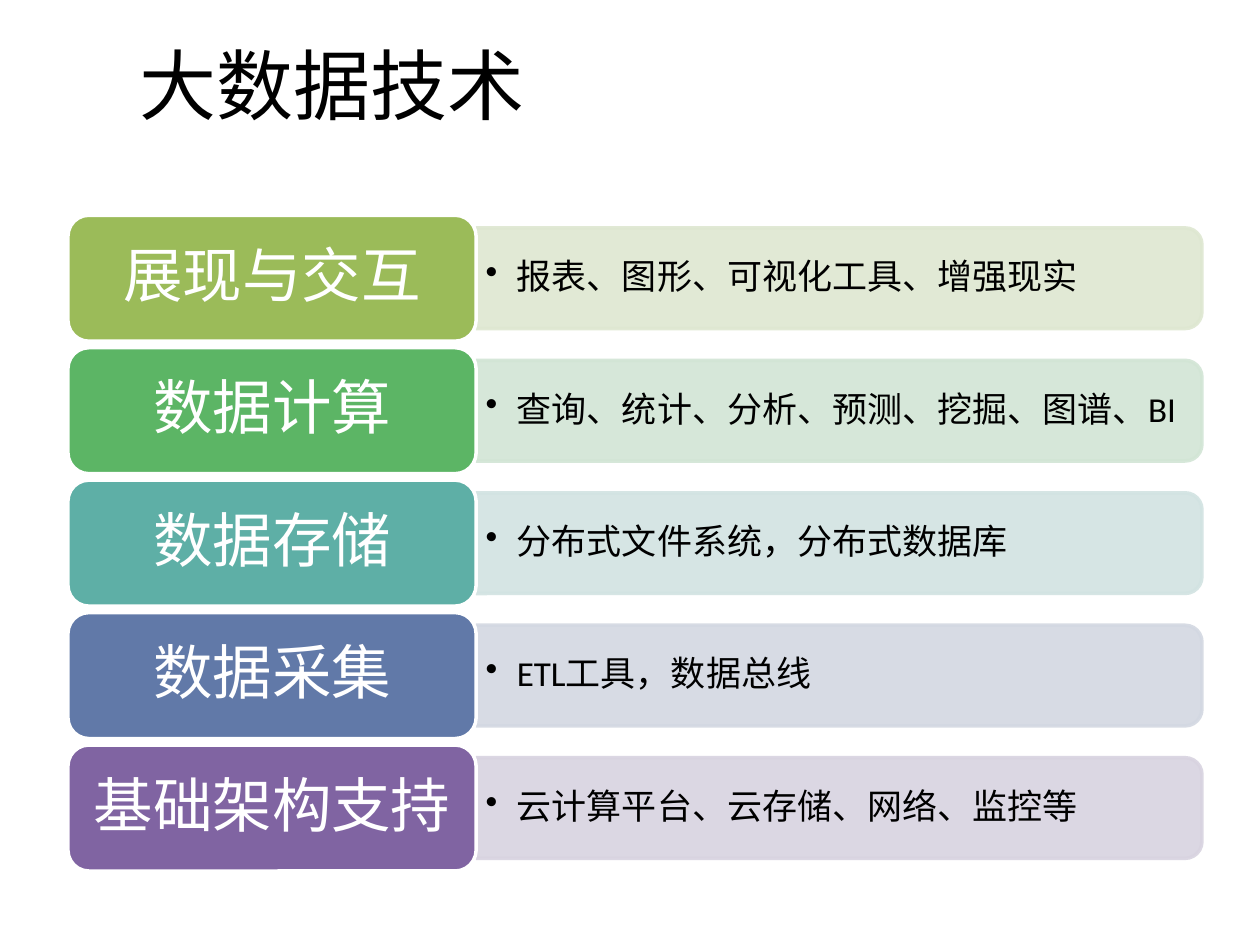
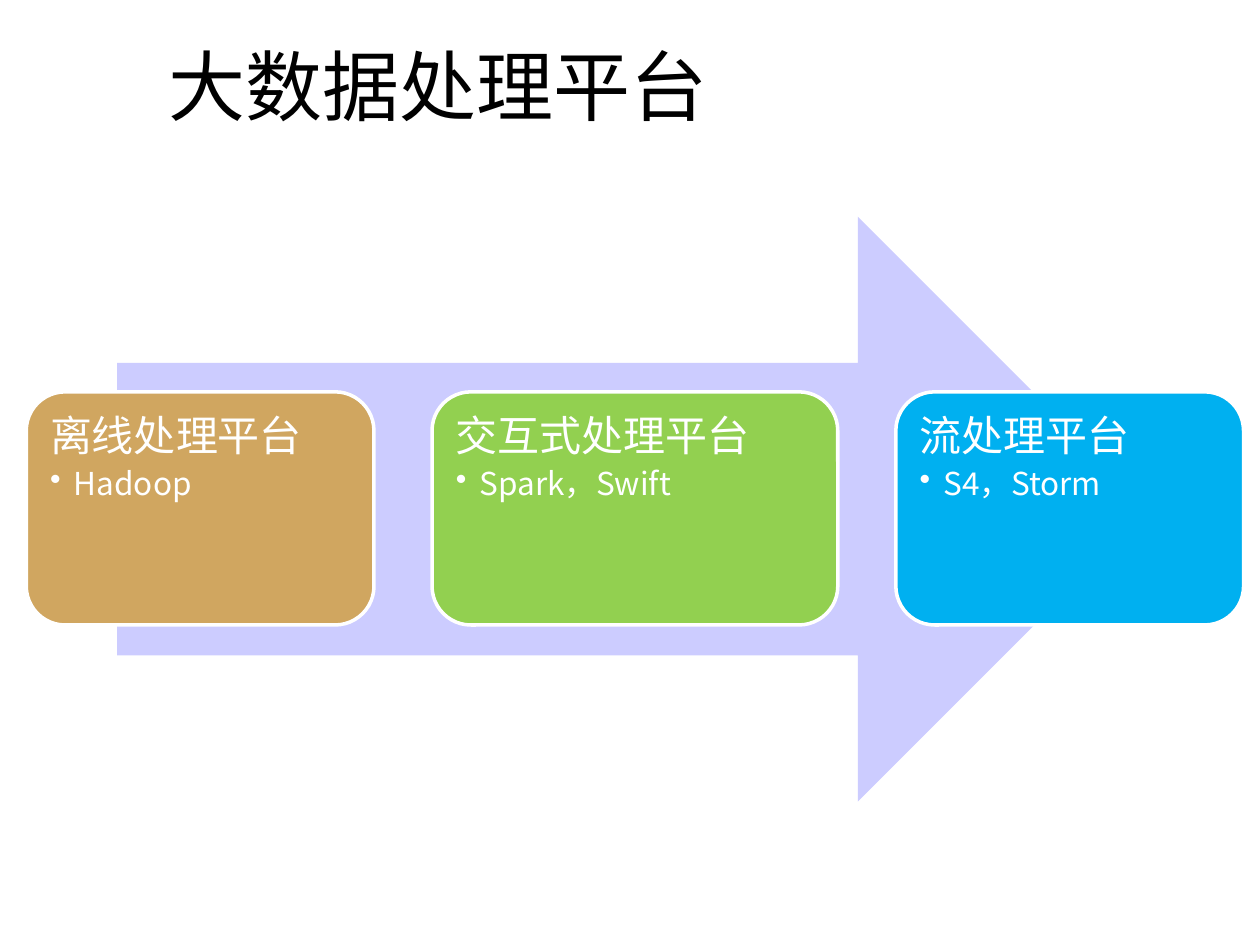
from lxml import etree
from pptx import Presentation
from pptx.dml.color import RGBColor
from pptx.enum.shapes import MSO_SHAPE
from pptx.enum.text import MSO_ANCHOR, PP_ALIGN
from pptx.oxml.ns import qn
from pptx.util import Cm, Pt

ROUNDED, TAB, ARROW = (MSO_SHAPE.ROUNDED_RECTANGLE, MSO_SHAPE.ROUND_2_SAME_RECTANGLE,
                       MSO_SHAPE.RIGHT_ARROW)
TOP, MIDDLE = MSO_ANCHOR.TOP, MSO_ANCHOR.MIDDLE
LEFT, CENTER = PP_ALIGN.LEFT, PP_ALIGN.CENTER

# Content
LAYERS_TITLE = ("大数据技术", 2.57, 0.64)
LAYERS = [  # label, details, label colour, bar colour
    ("展现与交互", "报表、图形、可视化工具、增强现实", "9BBB59", "DEE7D1"),
    ("数据计算", "查询、统计、分析、预测、挖掘、图谱、BI", "5CB565", "D2E5D5"),
    ("数据存储", "分布式文件系统，分布式数据库", "5EAFA6", "D2E3E2"),
    ("数据采集", "ETL工具，数据总线", "6179A8", "D3D8E2"),
    ("基础架构支持", "云计算平台、云存储、网络、监控等", "8064A2", "D8D3E0"),
]
PLATFORMS_TITLE = ("大数据处理平台", 3.15, 0.66)
PLATFORMS = [  # heading, systems, colour, width
    ("离线处理平台", "Hadoop", "D0A660", 7.01),
    ("交互式处理平台", "Spark，Swift", "92D050", 8.18),
    ("流处理平台", "S4，Storm", "00B0F0", 7.01),
]

# Shared style
CJK, LATIN = "Noto Sans CJK SC", "Calibri"
WHITE, BLACK, LAVENDER = "FFFFFF", "000000", "CCCCFF"
TITLE = {"size": Pt(44), "name": CJK}
LABEL = {"size": Pt(34), "name": LATIN}
DETAIL = {"size": Pt(20), "name": LATIN}
HEADING = {"size": Pt(24), "name": CJK}
SYSTEMS = {"size": Pt(18), "name": CJK}


def color(value):
    return RGBColor.from_string(value)


def add_block(page, kind, left, top, width, height, fill, line=None, alpha=None):
    block = page.shapes.add_shape(kind, Cm(left), Cm(top), Cm(width), Cm(height))
    block.shadow.inherit = False
    block.fill.solid()
    block.fill.fore_color.rgb = color(fill)
    if line:
        block.line.color.rgb = color(line)
        block.line.width = Pt(2)
    else:
        block.line.fill.background()
    if alpha:
        for tint in block.element.spPr.iter(qn("a:srgbClr")):
            etree.SubElement(tint, qn("a:alpha"), val=str(alpha * 1000))
    return block


def set_frame(box, anchor, side, edge):
    frame = box.text_frame
    settings = {"word_wrap": True, "vertical_anchor": anchor,
                "margin_left": Cm(side), "margin_right": Cm(side),
                "margin_top": Cm(edge), "margin_bottom": Cm(edge)}
    for name, value in settings.items():
        setattr(frame, name, value)
    return frame


def write(para, text, style, ink, align=LEFT, spacing=0.9, after=0, bullet_indent=None):
    layout = {"alignment": align, "line_spacing": spacing, "space_after": Pt(after)}
    for name, value in layout.items():
        setattr(para, name, value)
    if bullet_indent:
        properties = para._p.get_or_add_pPr()
        properties.set("marL", str(Cm(bullet_indent)))
        properties.set("indent", str(-Cm(bullet_indent)))
        etree.SubElement(properties, qn("a:buChar"), char="•")
    span = para.add_run()
    span.text = text
    for name, value in style.items():
        setattr(span.font, name, value)
    span.font.color.rgb = color(ink)
    etree.SubElement(span._r.get_or_add_rPr(), qn("a:ea"), typeface=CJK)


def add_text_box(page, left, top, width, height, side, edge):
    box = page.shapes.add_textbox(Cm(left), Cm(top), Cm(width), Cm(height))
    return set_frame(box, MIDDLE, side, edge).paragraphs[0]


def add_page(deck, text, left, top):
    page = deck.slides.add_slide(deck.slide_layouts[6])
    write(add_text_box(page, left, top, 19.48, 2.11, 0.25, 0.13), text, TITLE, BLACK, spacing=1)
    return page


def build_layers(deck):
    page = add_page(deck, *LAYERS_TITLE)
    left, first_top, pitch = 1.37, 4.34, 2.67
    label_width, label_height = 8.23, 2.54
    bar_left, bar_width, bar_height = left + label_width, 14.63, 2.03
    for row, (label, details, label_fill, bar_fill) in enumerate(LAYERS):
        top = first_top + row * pitch
        middle = top + label_height / 2

        # Bar: an upright tab turned on its side about its centre
        bar = add_block(page, TAB, bar_left + (bar_width - bar_height) / 2,
                        middle - bar_width / 2, bar_height, bar_width,
                        bar_fill, bar_fill, alpha=90)
        bar.rotation = 90
        para = add_text_box(page, bar_left, middle - 0.92, bar_width - 0.1, 1.84, 0.19, 0.1)
        write(para, details, DETAIL, BLACK, bullet_indent=0.63)

        # Label
        block = add_block(page, ROUNDED, left, top, label_width, label_height, label_fill, WHITE)
        frame = set_frame(block, MIDDLE, 0.36, 0.18)
        write(frame.paragraphs[0], label, LABEL, WHITE, CENTER)


def build_platforms(deck):
    page = add_page(deck, *PLATFORMS_TITLE)
    add_block(page, ARROW, 2.36, 4.37, 20.83, 11.79, LAVENDER)

    # Cards in a row with equal gaps
    left, top, height, gap = 0.53, 7.9, 4.7, 1.17
    for heading, systems, fill, width in PLATFORMS:
        card = add_block(page, ROUNDED, left, top, width, height, fill, WHITE)
        frame = set_frame(card, TOP, 0.25, 0.25)
        write(frame.paragraphs[0], heading, HEADING, WHITE, after=4)
        write(frame.add_paragraph(), systems, SYSTEMS, WHITE, bullet_indent=0.48)
        left += width + gap


def main():
    deck = Presentation()
    deck.slide_width, deck.slide_height = Cm(25.4), Cm(19.05)
    build_layers(deck)
    build_platforms(deck)
    deck.save("out.pptx")


if __name__ == "__main__":
    main()
